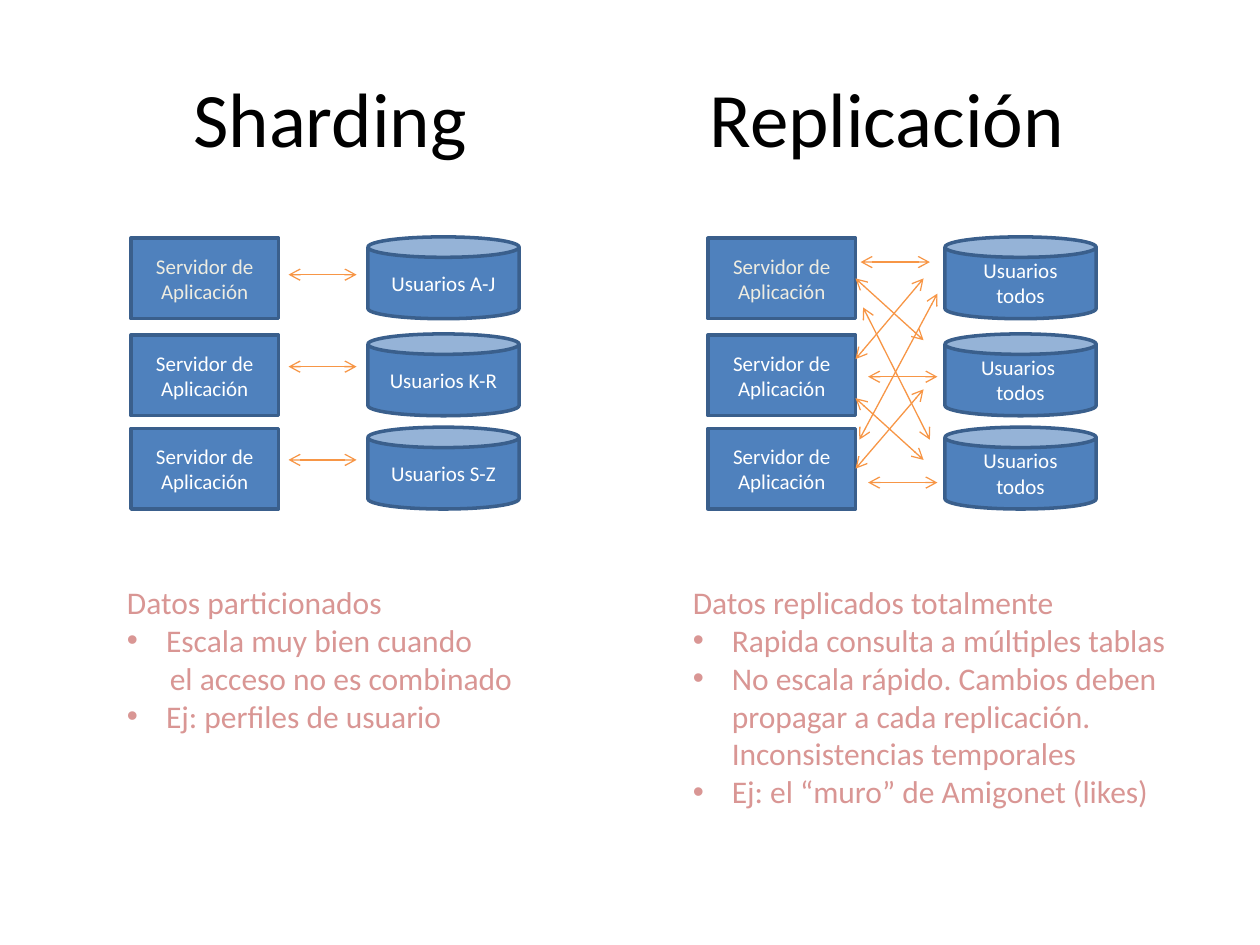
"""Build a slide that compares sharding with replication."""
from dataclasses import dataclass
from typing import Optional

from lxml import etree
from pptx import Presentation
from pptx import util as u
from pptx.dml.color import RGBColor
from pptx.enum import shapes, text
from pptx.oxml import ns
from pptx.shapes.autoshape import Shape
from pptx.slide import Slide
from pptx.text.text import TextFrame

BLACK = RGBColor(0x00, 0x00, 0x00)
WHITE = RGBColor(0xFF, 0xFF, 0xFF)
CREAM = RGBColor(0xEE, 0xEC, 0xE1)
BLUE = RGBColor(0x4F, 0x81, 0xBD)
DARK_BLUE = RGBColor(0x3A, 0x5F, 0x8C)
ORANGE = RGBColor(0xF7, 0x96, 0x46)
PINK = RGBColor(0xD9, 0x96, 0x94)
FONT = "Calibri"

ROW_TOPS = (1.89, 2.66, 3.4)
SERVER_SIZE = (1.17, 0.64)
DATABASE_SIZE = (1.2, 0.65)
DATABASE_OFFSET = 1.88
SERVER_LABEL = ("Servidor de", "Aplicación")
BULLET_INDENT = 0.31


@dataclass(frozen=True)
class Link:
    start: tuple[float, float]
    end: tuple[float, float]
    server: Optional[int] = None


@dataclass(frozen=True)
class Remark:
    words: str
    indent: float = BULLET_INDENT
    bullet: bool = True


@dataclass(frozen=True)
class Strategy:
    heading: str
    heading_center: float
    left: float
    databases: tuple[tuple[str, ...], ...]
    links: tuple[Link, ...]
    remarks: tuple[Remark, ...]
    remarks_area: tuple[float, float, float, float]
    wraps: bool


STRATEGIES = (
    Strategy(
        "Sharding", 2.62, 1.04,
        (("Usuarios A-J",), ("Usuarios K-R",), ("Usuarios S-Z",)),
        tuple(Link((2.29, y), (2.83, y)) for y in (2.18, 2.91, 3.65)),
        (
            Remark("Datos particionados", 0, False),
            Remark("Escala muy bien cuando"),
            Remark("el acceso no es combinado", 0.34, False),
            Remark("Ej: perfiles de usuario"),
        ),
        (0.91, 4.58, 3.3, 1.31), False,
    ),
    Strategy(
        "Replicación", 7.04, 5.62,
        (("Usuarios", "todos"), ("Usuarios ", "todos"), ("Usuarios", "todos")),
        (
            Link((6.79, 2.21), (7.33, 2.7), server=0),
            Link((6.79, 3.16), (7.33, 3.65)),
            Link((6.79, 2.85), (7.33, 2.21)),
            Link((6.89, 2.99), (7.44, 2.99)),
            Link((6.79, 3.73), (7.33, 3.09), server=2),
            Link((6.83, 2.08), (7.38, 2.08)),
            Link((6.89, 3.83), (7.44, 3.83)),
            Link((6.82, 3.49), (7.44, 2.33)),
            Link((6.85, 2.44), (7.38, 3.49)),
        ),
        (
            Remark("Datos replicados totalmente", 0, False),
            Remark("Rapida consulta a múltiples tablas"),
            Remark("No escala rápido. Cambios deben propagar a cada replicación. "
                   "Inconsistencias temporales"),
            Remark("Ej: el “muro” de Amigonet (likes)"),
        ),
        (5.4, 4.58, 4.54, 1.92), True,
    ),
)


def write_lines(frame: TextFrame, lines: tuple[str, ...], size: float, color: RGBColor,
                align: text.PP_ALIGN) -> None:
    """Write one paragraph per line."""
    for index, line in enumerate(lines):
        paragraph = frame.paragraphs[0] if index == 0 else frame.add_paragraph()
        paragraph.alignment = align
        run = paragraph.add_run()
        run.text = line
        run.font.name = FONT
        run.font.size = u.Pt(size)
        run.font.color.rgb = color


def draw_node(slide: Slide, kind: shapes.MSO_SHAPE, left: float, top: float,
              size: tuple[float, float], label: tuple[str, ...], color: RGBColor) -> Shape:
    """Draw a server or a database with its centred label."""
    node = slide.shapes.add_shape(kind, *map(u.Inches, (left, top, *size)))
    node.shadow.inherit = False
    node.fill.solid()
    node.fill.fore_color.rgb = BLUE
    node.line.color.rgb = DARK_BLUE
    node.line.width = u.Pt(2)
    node.text_frame.vertical_anchor = text.MSO_ANCHOR.MIDDLE
    write_lines(node.text_frame, label, 12, color, text.PP_ALIGN.CENTER)
    return node


def draw_link(slide: Slide, link: Link, servers: list[Shape]) -> None:
    """Draw a two-headed arrow, joined to its server if it has one."""
    arrow = slide.shapes.add_connector(
        shapes.MSO_CONNECTOR.STRAIGHT, *map(u.Inches, (*link.start, *link.end)))
    if link.server is not None:
        arrow.begin_connect(servers[link.server], 3)
    arrow.line.color.rgb = ORANGE
    arrow.line.width = u.Pt(0.75)
    properties = arrow._element.spPr
    outline = properties.find(ns.qn("a:ln"))
    for end in ("a:headEnd", "a:tailEnd"):
        etree.SubElement(outline, ns.qn(end), type="arrow")
    etree.SubElement(properties, ns.qn("a:effectLst"))


def draw_heading(slide: Slide, words: str, center: float) -> None:
    """Draw a heading centred on the given position."""
    width = 4
    heading = slide.shapes.add_textbox(
        *map(u.Inches, (center - width / 2, 0.3, width, 1.25)))
    heading.text_frame.word_wrap = True
    heading.text_frame.vertical_anchor = text.MSO_ANCHOR.MIDDLE
    write_lines(heading.text_frame, (words,), 44, BLACK, text.PP_ALIGN.CENTER)


def draw_remarks(slide: Slide, strategy: Strategy) -> None:
    """Draw the remarks with their indents and bullets."""
    frame = slide.shapes.add_textbox(*map(u.Inches, strategy.remarks_area)).text_frame
    frame.word_wrap = strategy.wraps
    frame.auto_size = text.MSO_AUTO_SIZE.SHAPE_TO_FIT_TEXT
    write_lines(frame, tuple(remark.words for remark in strategy.remarks), 18, PINK,
                text.PP_ALIGN.LEFT)
    for paragraph, remark in zip(frame.paragraphs, strategy.remarks):
        properties = paragraph._p.get_or_add_pPr()
        properties.set("marL", str(u.Inches(remark.indent)))
        if remark.bullet:
            properties.set("indent", str(-u.Inches(remark.indent)))
            etree.SubElement(properties, ns.qn("a:buFont"), typeface="Arial")
            etree.SubElement(properties, ns.qn("a:buChar"), char="•")


def draw_strategy(slide: Slide, strategy: Strategy) -> None:
    """Draw one half of the comparison."""
    draw_heading(slide, strategy.heading, strategy.heading_center)
    servers = []
    for row, (top, label) in enumerate(zip(ROW_TOPS, strategy.databases)):
        servers.append(draw_node(slide, shapes.MSO_SHAPE.RECTANGLE, strategy.left, top,
                                 SERVER_SIZE, SERVER_LABEL, WHITE if row else CREAM))
        draw_node(slide, shapes.MSO_SHAPE.CAN, strategy.left + DATABASE_OFFSET,
                  top - 0.01, DATABASE_SIZE, label, WHITE)
    for link in strategy.links:
        draw_link(slide, link, servers)
    draw_remarks(slide, strategy)


def main() -> None:
    """Build and save the slide."""
    deck = Presentation()
    deck.slide_width, deck.slide_height = u.Inches(10), u.Inches(7.5)
    slide = deck.slides.add_slide(deck.slide_layouts[6])
    for strategy in STRATEGIES:
        draw_strategy(slide, strategy)
    deck.save("out.pptx")


if __name__ == "__main__":
    main()
